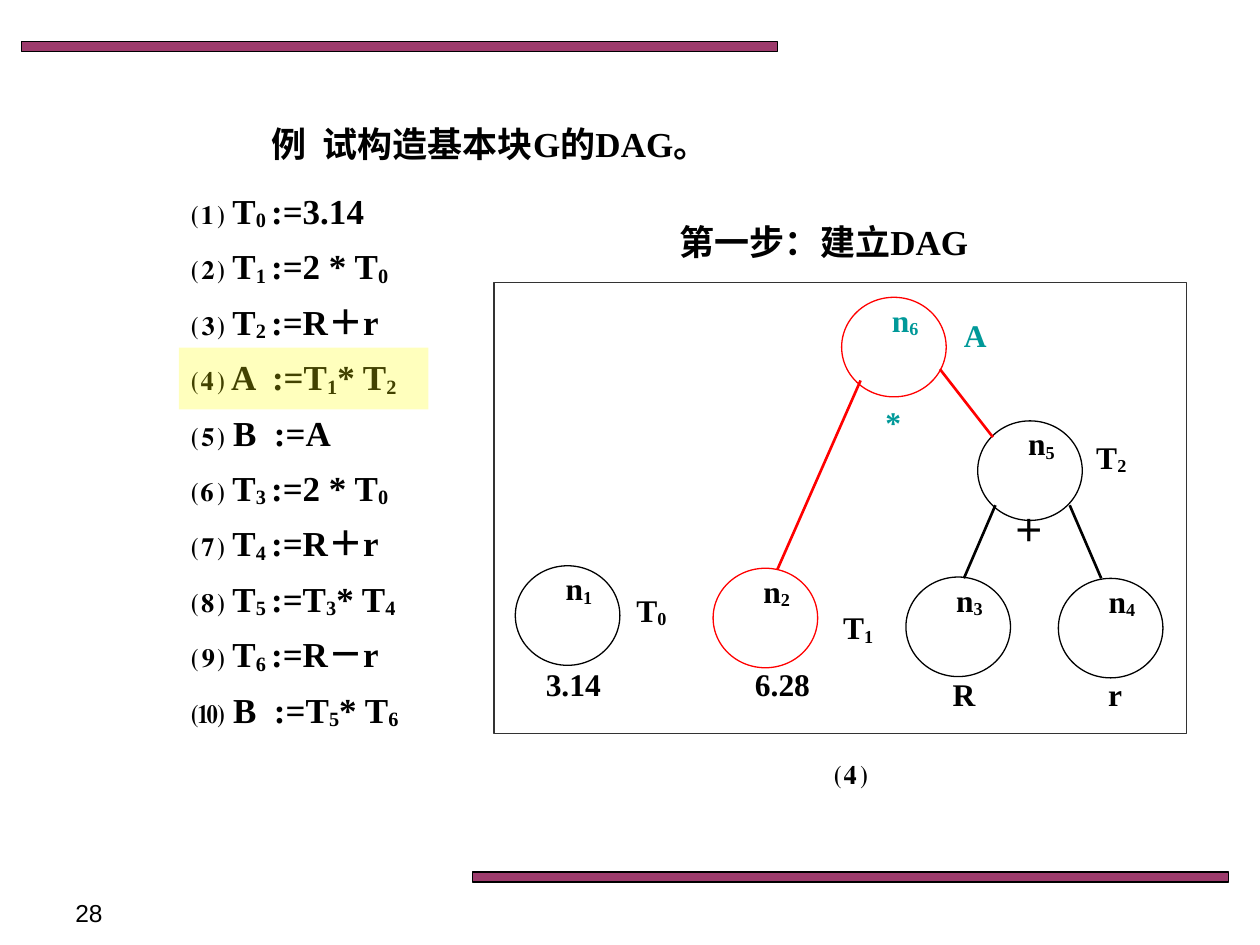
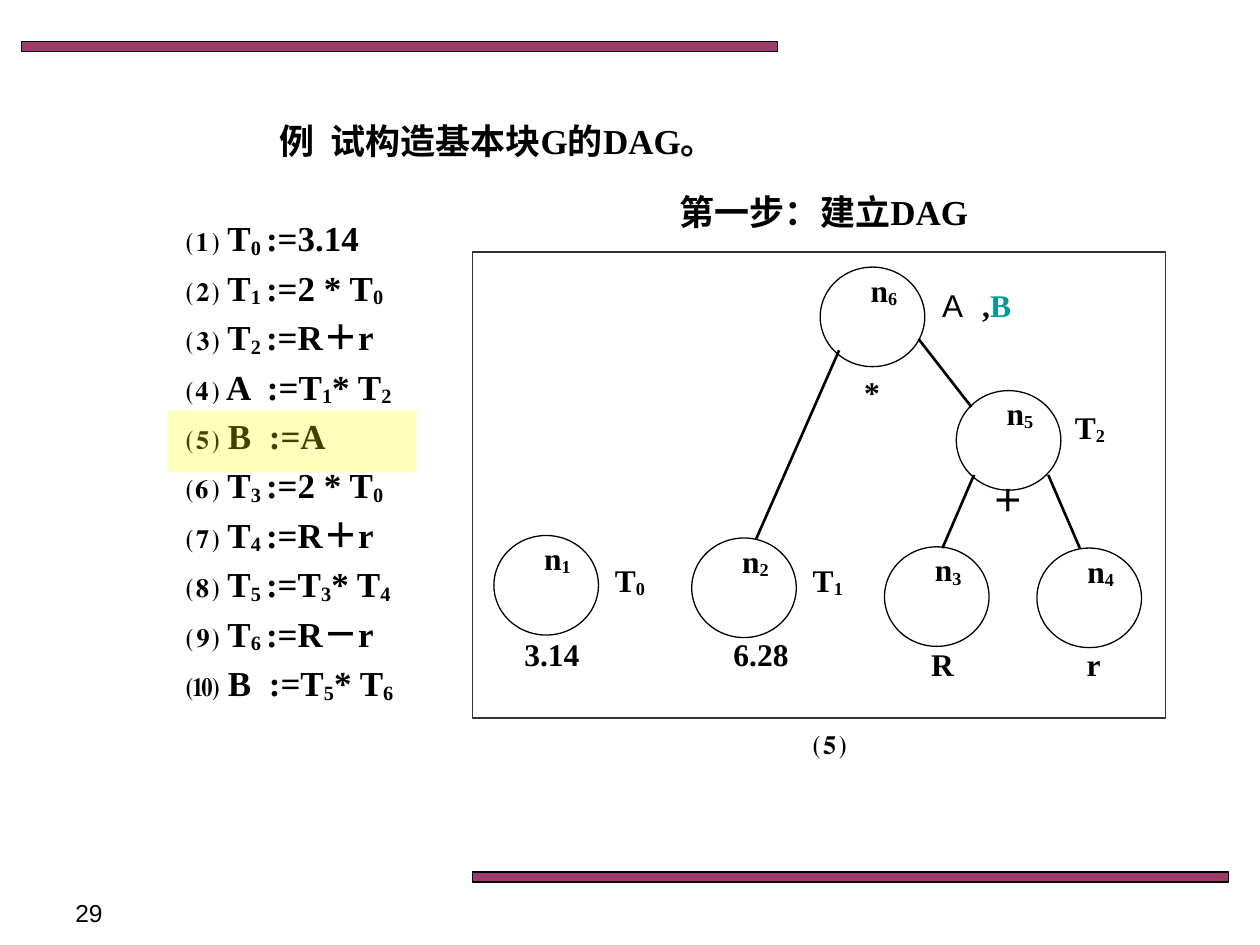
from pptx import Presentation
from pptx.dml.color import RGBColor
from pptx.enum.shapes import MSO_CONNECTOR as Link, MSO_SHAPE as Form
from pptx.enum.text import MSO_ANCHOR as Anchor, MSO_AUTO_SIZE as Fit, PP_ALIGN as Align
from pptx.oxml.ns import qn
from pptx.util import Inches, Pt
from lxml.etree import SubElement

BLACK = RGBColor(0x00, 0x00, 0x00)
GRAY = RGBColor(0x33, 0x33, 0x33)
PLUM = RGBColor(0x99, 0x33, 0x66)
RED = RGBColor(0xFF, 0x00, 0x00)
TEAL = RGBColor(0x00, 0x99, 0x99)
YELLOW = RGBColor(0xFF, 0xFF, 0x00)

FACE = {"name": "Times New Roman", "size": Pt(18), "bold": True}
HEAD = {"size": Pt(20)}
PLAIN = {"name": "Arial", "bold": False}

# Text between bars is a subscript.
CODE = [
    "⑴ T|0 |:=3.14",
    "⑵ T|1 |:=2 * T|0",
    "⑶ T|2 |:=R＋r",
    "⑷ A  :=T|1|* T|2",
    "⑸ B  :=A",
    "⑹ T|3 |:=2 * T|0",
    "⑺ T|4 |:=R＋r",
    "⑻ T|5 |:=T|3|* T|4",
    "⑼ T|6 |:=R－r",
    "⑽ B  :=T|5|* T|6",
]

# Graph places are relative to the frame: name, x, y, value, value centre, value top.
NODES = [
    ("n|1", 0.17, 2.25, "3.14", 0.46, 0.74),
    ("n|2", 1.74, 2.27, "6.28", 0.55, 0.72),
    ("n|3", 3.27, 2.34, "R", 0.46, 0.73),
    ("n|4", 4.48, 2.35, "r", 0.45, 0.72),
    ("n|5", 3.84, 1.10, "＋", 0.41, 0.67),
    ("n|6", 2.76, 0.12, "*", 0.41, 0.79),
]
EDGES = [
    ("n|5", 3.98, 1.77, 3.73, 2.35),
    ("n|5", 4.57, 1.77, 4.82, 2.35),
    ("n|6", 2.91, 0.78, 2.25, 2.28),
    ("n|6", 3.54, 0.69, 3.96, 1.23),
]
TAGS = [("T|0", 0.96, 2.40), ("T|2", 4.61, 1.19)]


class Deck:
    def __init__(self):
        self.prs = Presentation()
        self.prs.slide_width, self.prs.slide_height = Inches(10), Inches(7.5)

    def start(self, num):
        """Open a slide with its two bands and its number."""
        self.slide = self.prs.slides.add_slide(self.prs.slide_layouts[1])
        self.shapes = self.slide.shapes
        for x, y in ((0.17, 0.33), (3.75, 6.92)):
            self.shape(Form.RECTANGLE, x, y, 6, 0.08, PLUM, 96, BLACK)
        self.text(str(num), 0.5, 7.08, 2.33, 0.27, align=Align.LEFT, size=Pt(14), **PLAIN)

    def shape(self, form, x, y, w, h, fill=None, alpha=100, line=None):
        item = self.shapes.add_shape(form, *map(Inches, (x, y, w, h)))
        item.shadow.inherit = False
        if fill is None:
            item.fill.background()
        else:
            item.fill.solid()
            item.fill.fore_color.rgb = fill
            tint = item._element.spPr.find(qn("a:solidFill")).find(qn("a:srgbClr"))
            SubElement(tint, qn("a:alpha")).set("val", str(alpha * 1000))
        if line is None:
            item.line.fill.background()
        else:
            item.line.color.rgb = line
            item.line.width = Pt(0.75)

    def edge(self, x, y, x2, y2, ink):
        item = self.shapes.add_connector(Link.STRAIGHT, *map(Inches, (x, y, x2, y2)))
        item.line.color.rgb = ink
        item.line.width = Pt(1.5)
        SubElement(item._element.spPr, qn("a:effectLst"))

    def fill(self, par, text, ink=BLACK, tail=None, **look):
        """Split at bars; odd parts are subscripts, or take the tail colour."""
        for i, part in enumerate(text.split("|")):
            if not part:
                continue
            run = par.add_run()
            run.text = part
            for key, val in {**FACE, **look}.items():
                setattr(run.font, key, val)
            odd = i % 2 == 1
            run.font.color.rgb = tail if odd and tail else ink
            if odd and not tail:
                run._r.get_or_add_rPr().set("baseline", "-10000")

    def place(self, item, x, y, w, h):
        """Move a text holder and return its frame, ready to fill."""
        item.left, item.top, item.width, item.height = map(Inches, (x, y, w, h))
        frame = item.text_frame
        style = {"word_wrap": True, "auto_size": Fit.NONE, "vertical_anchor": Anchor.TOP}
        for key, val in style.items():
            setattr(frame, key, val)
        return frame

    def text(self, text, x, y, w, h=0.5, align=Align.CENTER, **look):
        box = self.shapes.add_textbox(0, 0, 0, 0)
        par = self.place(box, x, y, w, h).paragraphs[0]
        par.alignment = align
        self.fill(par, text, **look)

    def title(self, text, x, y):
        par = self.place(self.shapes.title, x, y, 5.06, 0.43).paragraphs[0]
        par.alignment = Align.CENTER
        self.fill(par, text, **HEAD)

    def code(self, x, y, h, gap, space):
        frame = self.place(self.slide.placeholders[1], x, y, 2.42, h)
        for i, line in enumerate(CODE):
            par = frame.add_paragraph() if i else frame.paragraphs[0]
            par.alignment = Align.LEFT
            par.line_spacing = space
            par.space_before = Pt(gap if i else 0)
            props = par._p.get_or_add_pPr()
            props.set("marL", "0")
            props.set("indent", "0")
            SubElement(props, qn("a:buNone"))
            self.fill(par, line, **HEAD)

    def graph(self, x, y, h, step, tags, hot, ink):
        """Draw the framed graph; hot marks new lines, ink the new node."""
        self.shape(Form.RECTANGLE, x, y, 5.5, h, line=GRAY)
        self.text(step, x + 2.5, y + 3.66, 0.67, 0.43, **HEAD)
        self.text("第一步：建立DAG", 3.83, y - 0.54, 5.42, 0.43, **HEAD)
        for name, nx, ny, value, dx, dy in NODES:
            left, top = x + nx, y + ny
            line = hot if name in ("n|2", "n|6") else BLACK
            tone = ink if name == "n|6" else BLACK
            self.shape(Form.OVAL, left, top, 0.83, 0.79, line=line)
            self.text(name, left + 0.12, top - 0.02, 0.77, ink=tone)
            self.text(value, left + dx - 0.46, top + dy, 0.92, ink=tone)
        for name, ax, ay, bx, by in EDGES:
            self.edge(x + ax, y + ay, x + bx, y + by, hot if name == "n|6" else BLACK)
        for tag, tx, ty, *look in TAGS + tags:
            self.text(tag, x + tx, y + ty, 0.58, **(look[0] if look else {}))

    def mark(self, x, y):
        self.shape(Form.RECTANGLE, x, y, 1.98, 0.49, YELLOW, 26)


def main():
    deck = Deck()
    name = "例  试构造基本块G的DAG。"

    deck.start(28)
    deck.title(name, 1.36, 0.92)
    deck.code(1.42, 1.42, 4.51, 5, 1.1)
    tags = [("T|1", 2.6, 2.54), ("A", 3.53, 0.22, {"ink": TEAL})]
    deck.graph(3.92, 2.24, 3.58, "⑷", tags, RED, TEAL)
    deck.mark(1.42, 2.76)

    deck.start(29)
    deck.title(name, 1.42, 0.9)
    deck.code(1.38, 1.67, 4.07, 4, 1.0)
    tags = [("T|1", 2.53, 2.4), ("A", 3.52, 0.22, PLAIN), (",|B", 3.87, 0.22, {"tail": TEAL})]
    deck.graph(3.75, 2.0, 3.7, "⑸", tags, BLACK, BLACK)
    deck.mark(1.33, 3.26)

    deck.prs.save("out.pptx")


if __name__ == "__main__":
    main()
